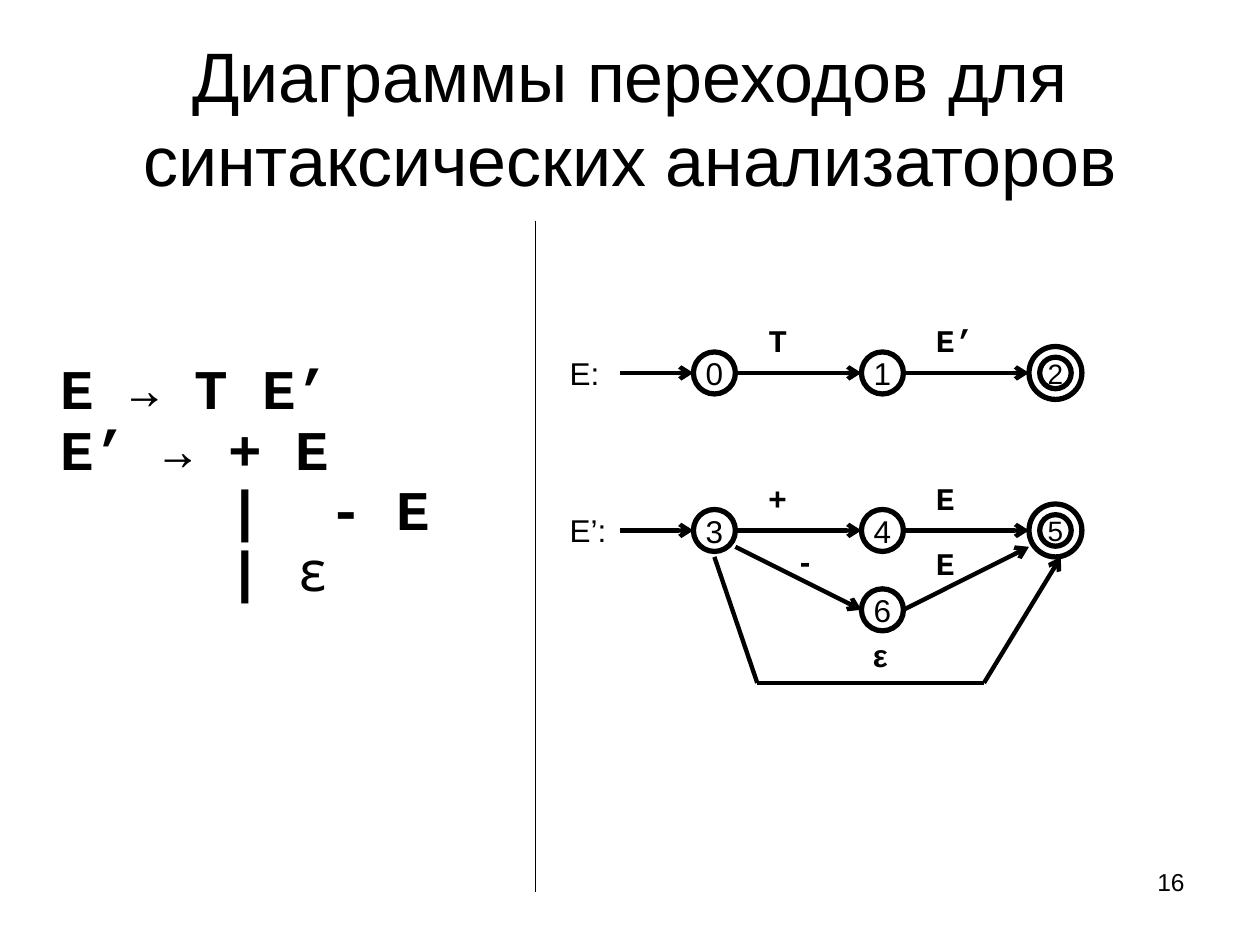
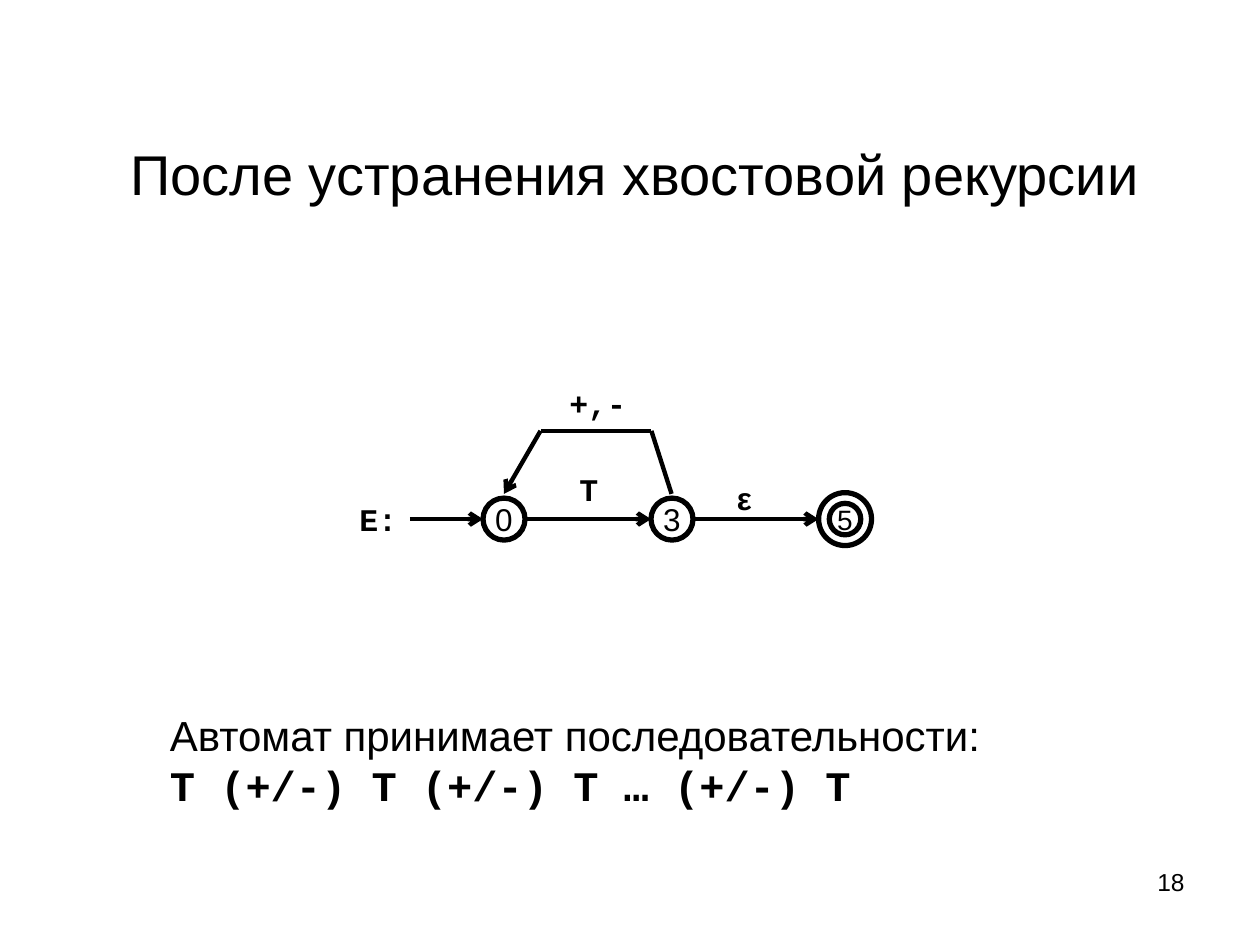
from itertools import pairwise
from lxml import etree
from pptx import Presentation
from pptx import util as u
from pptx.dml.color import RGBColor
from pptx.enum import shapes, text
from pptx.oxml.ns import qn

COLORS = {"ink": "000000", "paper": "FFFFFF"}
SANS, CODE, MONO = "Arial", "Courier New", "Noto Sans Mono"
WIDTH, HEIGHT = 10, 7.5
STEP = 4 / 3          # distance between neighbouring states
RADIUS = 1 / 6        # plain state
RING, CORE = 0.21, 0.125  # outer and inner radius of a final state
DROP = 0.13           # where a slanted arrow meets a state, below its centre
CHAR = 0.267          # width of one grammar character
LINE_H = 0.4          # height of a label box

# Each grammar line: indent in characters, then (text, font, bold) runs
GRAMMAR = [
    (0, [("E", CODE, True), (" → ", MONO, False), ("T E’", CODE, True)]),
    (0, [("E’", CODE, True), (" → ", MONO, False), ("+ E", CODE, True)]),
    (5, [("|  - E", CODE, True)]),
    (5, [("| ", CODE, True), ("ε", MONO, False)]),
]
ACCEPTED = [
    (0, [("Автомат принимает последовательности:", SANS, False)]),
    (0, [("T (+/-) T (+/-) T … (+/-) T", CODE, True)]),
]

# states: name -> (column, rows down in inches); labels: (text, font, bold, x, y)
SLIDES = [
    {
        "title": "Диаграммы переходов для синтаксических анализаторов",
        "title_box": (0.5, 0.3, 9, 1.25), "title_size": 40, "number": "16",
        "origin": (5.67, 2.96),
        "states": {"0": (0, 0), "1": (1, 0), "2": (2, 0),
                   "3": (0, 1.25), "4": (1, 1.25), "5": (2, 1.25), "6": (1, 1.88)},
        "final": "25",
        "entries": {"0": ("E:", SANS, False), "3": ("E’:", SANS, False)},
        "edges": ["01", "12", "34", "45", "36", "65"],
        "bypass": [(5.67, 4.42), (6.01, 5.42), (7.81, 5.42), (8.42, 4.42)],
        "labels": [
            ("T", CODE, True, 6, 2.5), ("E’", CODE, True, 7.33, 2.5),
            ("+", SANS, True, 6, 3.75), ("E", CODE, True, 7.33, 3.75),
            ("-", SANS, True, 6.25, 4.25), ("E", CODE, True, 7.33, 4.27),
            ("ε", SANS, True, 6.83, 5),
        ],
        "body": (GRAMMAR, (0, 2.82, 3.75, 2.9), 32, 0.38, 0.9),
        "divider": [(4.25, 1.75), (4.25, 7.08)],
    },
    {
        "title": "После устранения хвостовой рекурсии",
        "title_box": (0.33, 0.83, 9.42, 1.08), "title_size": 32, "number": "18",
        "origin": (4, 4.12),
        "states": {"0": (0, 0), "3": (1, 0), "5": (2, 0)},
        "final": "5",
        "entries": {"0": ("E:", CODE, True)},
        "edges": ["03", "35"],
        "bypass": [(5.33, 3.92), (5.17, 3.42), (4.29, 3.42), (4, 3.92)],
        "labels": [
            ("T", CODE, True, 4.5, 3.68), ("ε", SANS, True, 5.75, 3.75),
            ("+,-", CODE, True, 4.42, 3),
        ],
        "body": (ACCEPTED, (1.25, 5.58, 7.58, 0.9), 24, 0, 1),
        "divider": None,
    },
]


def ink():
    return RGBColor.from_string(COLORS["ink"])


def inches(*values):
    return [u.Inches(v) for v in values]


def style(run, size, font=SANS, bold=False):
    run.font.size, run.font.name, run.font.bold = u.Pt(size), font, bold
    run.font.color.rgb = ink()


def add_text(s, box, content, size, font=SANS, bold=False, align=text.PP_ALIGN.LEFT):
    tf = s.shapes.add_textbox(*inches(*box)).text_frame
    tf.word_wrap = True
    p = tf.paragraphs[0]
    p.text, p.alignment = content, align
    style(p.runs[0], size, font, bold)


def add_label(s, content, font, bold, x, y):
    add_text(s, (x, y, 0.26 + 0.16 * len(content), LINE_H), content, 18, font, bold)


def add_body(s, lines, box, size, margin, spacing):
    tf = s.shapes.add_textbox(*inches(*box)).text_frame
    tf.word_wrap = True
    for i, (indent, runs) in enumerate(lines):
        p = tf.add_paragraph() if i else tf.paragraphs[0]
        p.line_spacing = spacing
        p._p.get_or_add_pPr().set("marL", str(u.Inches(margin + indent * CHAR)))
        for content, font, bold in runs:
            r = p.add_run()
            r.text = content
            style(r, size, font, bold)


def add_line(s, start, end, width=2.5, arrow=True):
    line = s.shapes.add_connector(shapes.MSO_CONNECTOR.STRAIGHT, *inches(*start, *end))
    line.line.width = u.Pt(width)
    line.line.color.rgb = ink()
    if arrow:
        etree.SubElement(line.line._get_or_add_ln(), qn("a:tailEnd"), type="arrow")
    etree.SubElement(line._element.spPr, qn("a:effectLst"))


def add_circle(s, x, y, radius, name="", size=18):
    sp = s.shapes.add_shape(shapes.MSO_SHAPE.OVAL,
                            *inches(x - radius, y - radius, 2 * radius, 2 * radius))
    sp.shadow.inherit = False
    sp.fill.background()
    sp.line.width = u.Pt(3)
    sp.line.color.rgb = ink()
    if name:
        tf = sp.text_frame
        tf.word_wrap = False
        tf.vertical_anchor = text.MSO_ANCHOR.MIDDLE
        p = tf.paragraphs[0]
        p.text, p.alignment = name, text.PP_ALIGN.CENTER
        style(p.runs[0], size)


def add_automaton(s, spec):
    x0, y0 = spec["origin"]
    centers = {name: (x0 + col * STEP + (0.04 if name in spec["final"] else 0), y0 + down)
               for name, (col, down) in spec["states"].items()}
    radii = {name: RING if name in spec["final"] else RADIUS for name in centers}

    for name, (x, y) in centers.items():
        if name in spec["final"]:
            add_circle(s, x, y, RING)
            add_circle(s, x, y, CORE, name, 16)
        else:
            add_circle(s, x, y, RADIUS, name)

    for a, b in spec["edges"]:
        (ax, ay), (bx, by) = centers[a], centers[b]
        start_y = ay + DROP if ay < by else ay
        end_y = by + DROP if by < ay else by
        add_line(s, (ax + radii[a], start_y), (bx - radii[b], end_y))

    for name, label in spec["entries"].items():
        x, y = centers[name]
        left = x - RADIUS
        add_line(s, (left - 0.58, y), (left, y))
        add_label(s, *label, left - 1.08, y - 0.2)

    corners = spec["bypass"]
    for start, end in pairwise(corners):
        add_line(s, start, end, arrow=end == corners[-1])
    for label in spec["labels"]:
        add_label(s, *label)


def add_slide(prs, spec):
    s = prs.slides.add_slide(prs.slide_layouts[5])
    s.background.fill.solid()
    s.background.fill.fore_color.rgb = RGBColor.from_string(COLORS["paper"])

    title = s.shapes.title
    title.left, title.top, title.width, title.height = inches(*spec["title_box"])
    tf = title.text_frame
    tf.text = spec["title"]
    tf.auto_size = text.MSO_AUTO_SIZE.NONE
    tf.vertical_anchor = text.MSO_ANCHOR.MIDDLE
    tf.paragraphs[0].alignment = text.PP_ALIGN.CENTER
    style(tf.paragraphs[0].runs[0], spec["title_size"])

    add_body(s, *spec["body"])
    if spec["divider"]:
        add_line(s, *spec["divider"], width=0.75, arrow=False)
    add_automaton(s, spec)
    add_text(s, (7.17, 6.83, 2.33, 0.52), spec["number"], 14, align=text.PP_ALIGN.RIGHT)


def main():
    prs = Presentation()
    prs.slide_width, prs.slide_height = inches(WIDTH, HEIGHT)
    for spec in SLIDES:
        add_slide(prs, spec)
    prs.save("out.pptx")


if __name__ == "__main__":
    main()
